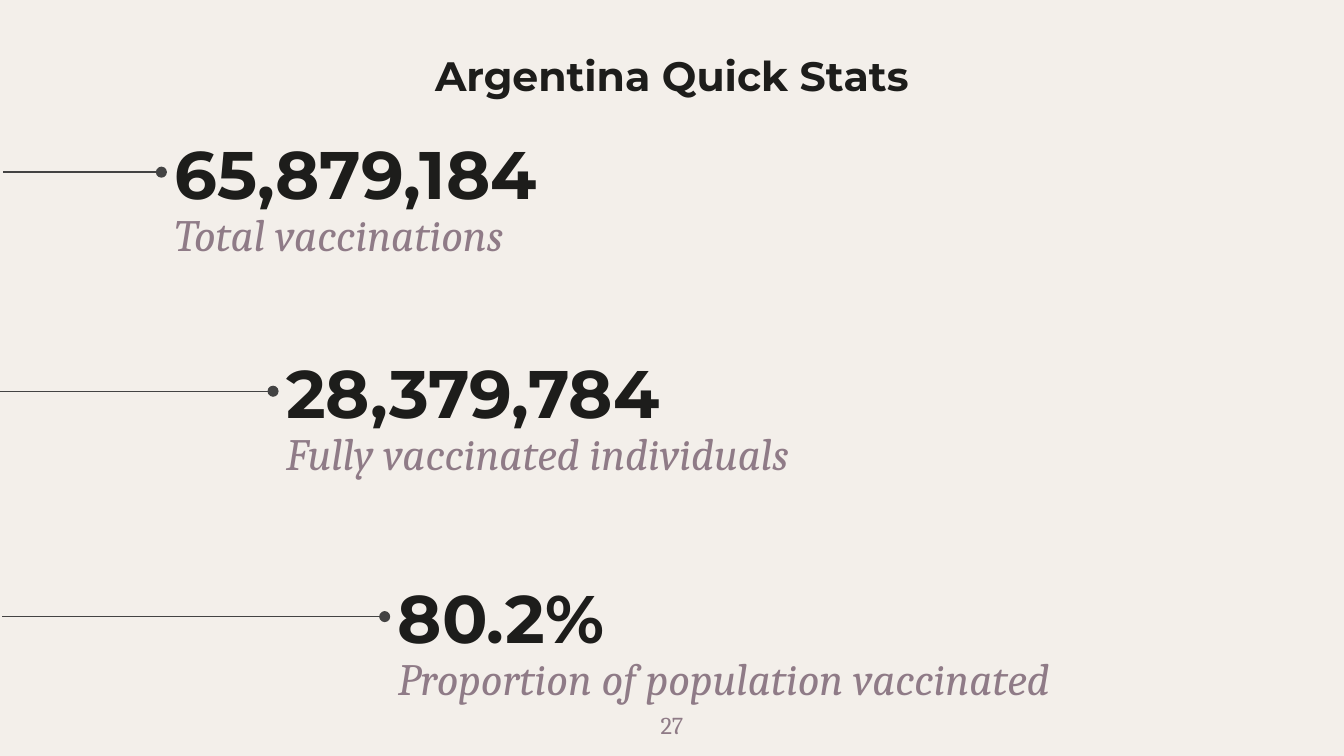
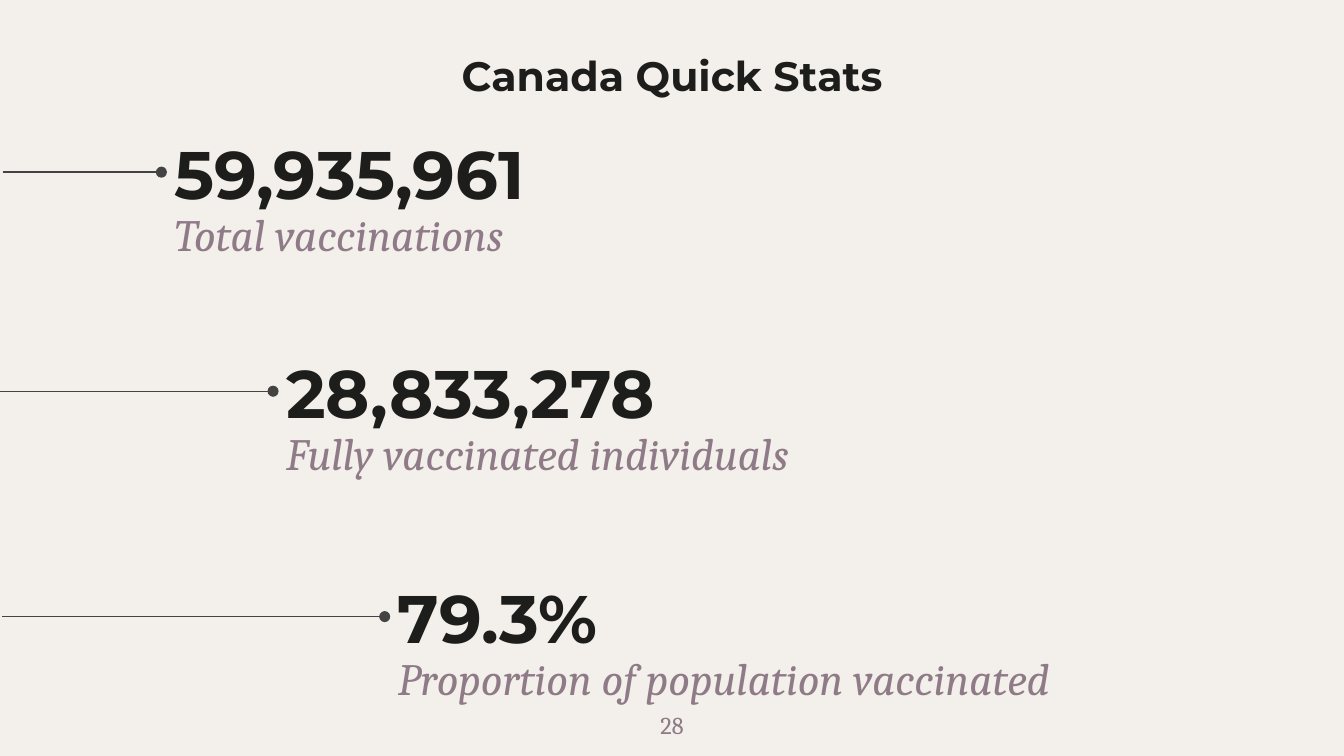
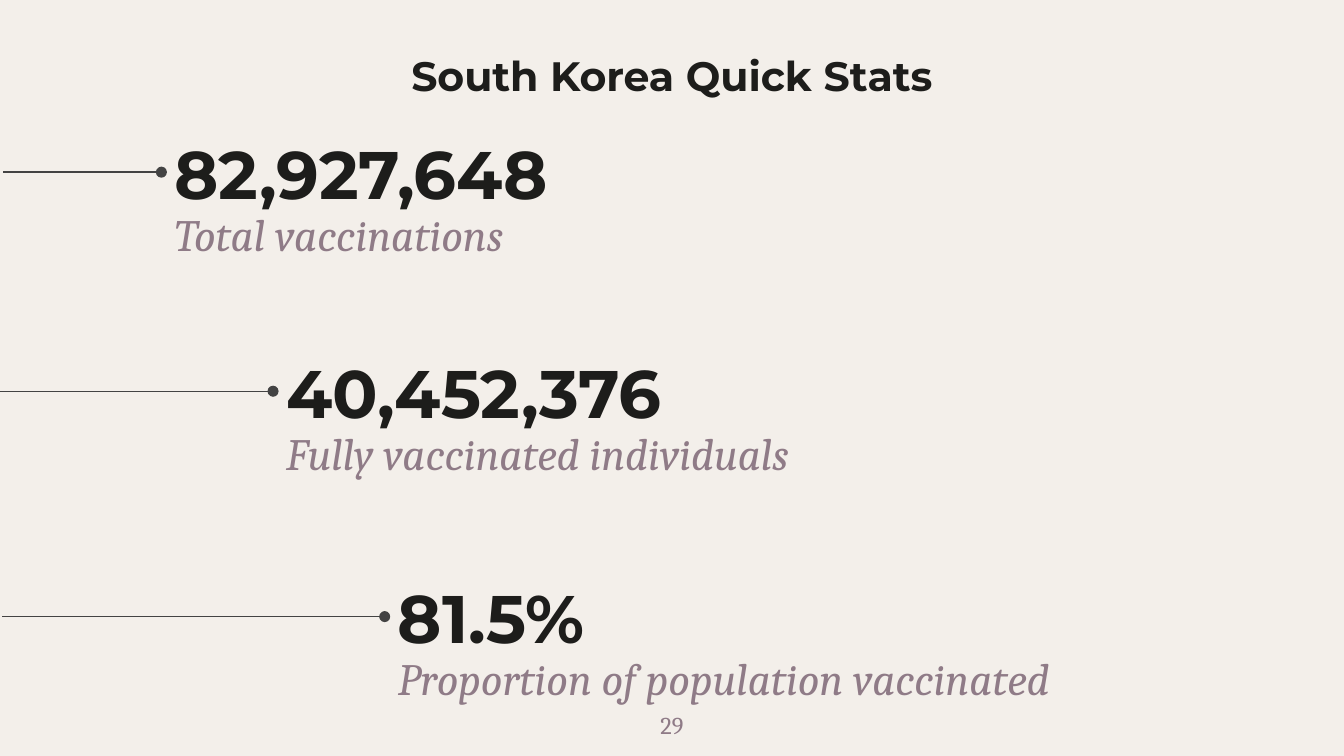
"""Build three quick-stats slides on national vaccination figures."""
from lxml import etree
from pptx import Presentation
from pptx import util as u
from pptx.dml.color import RGBColor
from pptx.enum import shapes, text
from pptx.oxml.ns import qn

COUNTRIES = [
    ("Argentina", ["65,879,184", "28,379,784", "80.2%"]),
    ("Canada", ["59,935,961", "28,833,278", "79.3%"]),
    ("South Korea", ["82,927,648", "40,452,376", "81.5%"]),
]
FIRST_PAGE = 27
MEASURES = [
    {"label": "Total vaccinations", "top": 2.01, "line_start": 0.05},
    {"label": "Fully vaccinated individuals", "top": 6.15, "line_start": 0},
    {"label": "Proportion of population vaccinated", "top": 10.41, "line_start": 0.03},
]

CREAM = RGBColor(0xF3, 0xEF, 0xEA)
INK = RGBColor(0x1D, 0x1D, 0x1B)
MAUVE = RGBColor(0x8F, 0x7B, 0x87)
GREY = RGBColor(0x43, 0x43, 0x43)

SLIDE_WIDTH, SLIDE_HEIGHT = 25.4, 14.29
STAT_LEFT, STAT_STEP, STAT_WIDTH = 3.05, 2.11, 16.69
VALUE_HEIGHT, LABEL_OFFSET, LABEL_HEIGHT = 2.49, 1.49, 1.3
TITLE_TOP, TITLE_WIDTH, TITLE_HEIGHT = 0.23, 12.52, 2.39
PAGE_TOP, PAGE_WIDTH, PAGE_HEIGHT = 13.18, 1.52, 1.09

MARGINS = {f"margin_{side}": u.Cm(0.25) for side in ("left", "right", "top", "bottom")}
MIDDLE = {"vertical_anchor": text.MSO_ANCHOR.MIDDLE}
TOP = {"vertical_anchor": text.MSO_ANCHOR.TOP}
CENTRED = {"alignment": text.PP_ALIGN.CENTER}

STYLES = {
    "title": {
        "font": {"name": "Montserrat", "size": u.Pt(22), "bold": True},
        "color": INK, "paragraph": CENTRED, "frame": MIDDLE,
    },
    "value": {
        "font": {"name": "Montserrat", "size": u.Pt(36), "bold": True},
        "color": INK, "paragraph": {}, "frame": MIDDLE,
    },
    "label": {
        "font": {"name": "Cambria", "size": u.Pt(24), "italic": True},
        "color": MAUVE, "frame": TOP,
        "paragraph": {"line_spacing": 1.15, "space_before": u.Pt(6)},
    },
    "page": {
        "font": {"name": "Cambria", "size": u.Pt(13)},
        "color": MAUVE, "paragraph": CENTRED, "frame": TOP,
    },
}


def set_attributes(target, values):
    for name, value in values.items():
        setattr(target, name, value)


def add_text(slide, words, style_name, left, top, width, height):
    style = STYLES[style_name]
    box = slide.shapes.add_textbox(*map(u.Cm, (left, top, width, height)))
    frame = box.text_frame
    set_attributes(frame, {"word_wrap": True, **MARGINS, **style["frame"]})
    paragraph = frame.paragraphs[0]
    set_attributes(paragraph, style["paragraph"])
    run = paragraph.add_run()
    run.text = words
    set_attributes(run.font, style["font"])
    run.font.color.rgb = style["color"]
    return box


def add_pointer(slide, value_box, line_start):
    middle = value_box.top + value_box.height // 2
    pointer = slide.shapes.add_connector(
        shapes.MSO_CONNECTOR.STRAIGHT, value_box.left, middle, u.Cm(line_start), middle)
    pointer.begin_connect(value_box, 1)
    pointer.line.color.rgb = GREY
    pointer.line.width = u.Pt(0.75)
    properties = pointer._element.spPr
    etree.SubElement(properties.find(qn("a:ln")), qn("a:headEnd"), type="oval")
    etree.SubElement(properties, qn("a:effectLst"))


def add_stats(slide, values):
    for index, (measure, value) in enumerate(zip(MEASURES, values)):
        left, top = STAT_LEFT + index * STAT_STEP, measure["top"]
        value_box = add_text(slide, value, "value", left, top, STAT_WIDTH, VALUE_HEIGHT)
        add_text(slide, measure["label"], "label",
                 left, top + LABEL_OFFSET, STAT_WIDTH, LABEL_HEIGHT)
        add_pointer(slide, value_box, measure["line_start"])


def add_country(presentation, page, country, values):
    slide = presentation.slides.add_slide(presentation.slide_layouts[6])
    slide.background.fill.solid()
    slide.background.fill.fore_color.rgb = CREAM
    add_stats(slide, values)
    add_text(slide, str(page), "page",
             (SLIDE_WIDTH - PAGE_WIDTH) / 2, PAGE_TOP, PAGE_WIDTH, PAGE_HEIGHT)
    add_text(slide, f"{country} Quick Stats", "title",
             (SLIDE_WIDTH - TITLE_WIDTH) / 2, TITLE_TOP, TITLE_WIDTH, TITLE_HEIGHT)


def main():
    presentation = Presentation()
    presentation.slide_width = u.Cm(SLIDE_WIDTH)
    presentation.slide_height = u.Cm(SLIDE_HEIGHT)
    for page, (country, values) in enumerate(COUNTRIES, FIRST_PAGE):
        add_country(presentation, page, country, values)
    presentation.save("out.pptx")


if __name__ == "__main__":
    main()
